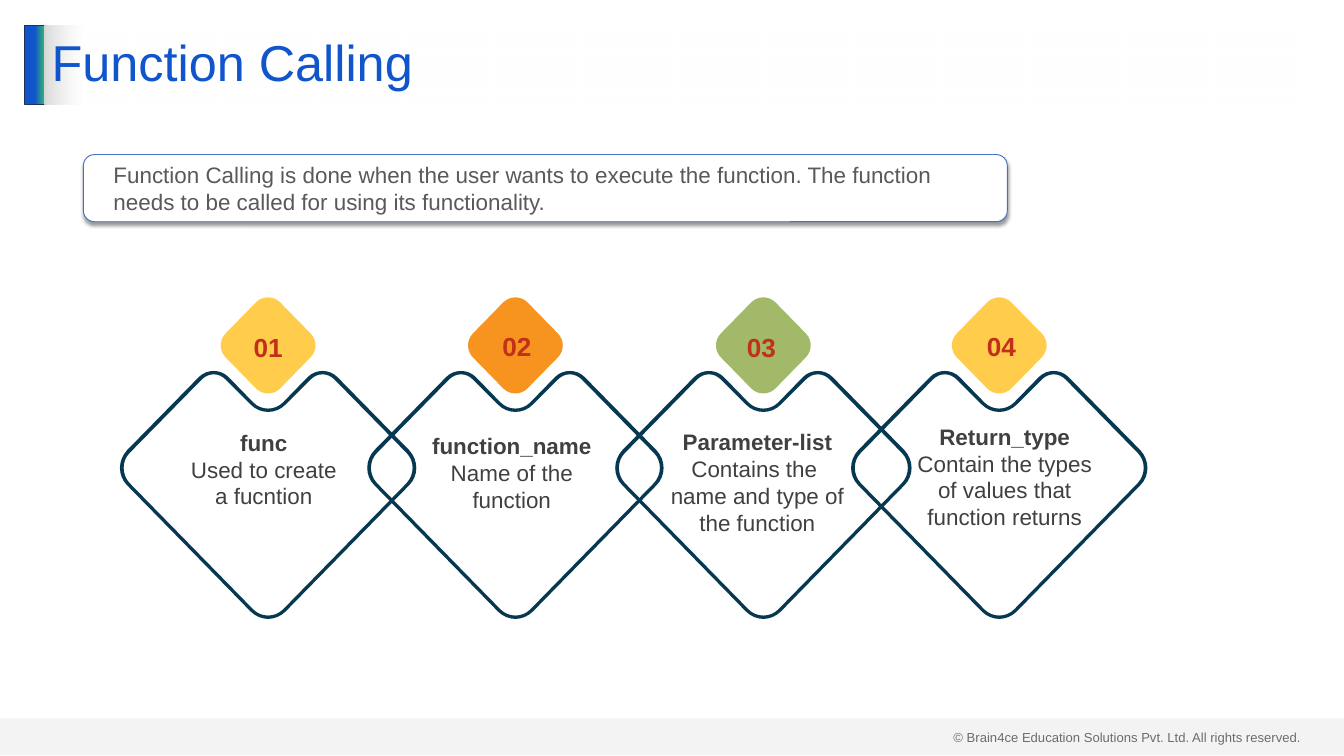
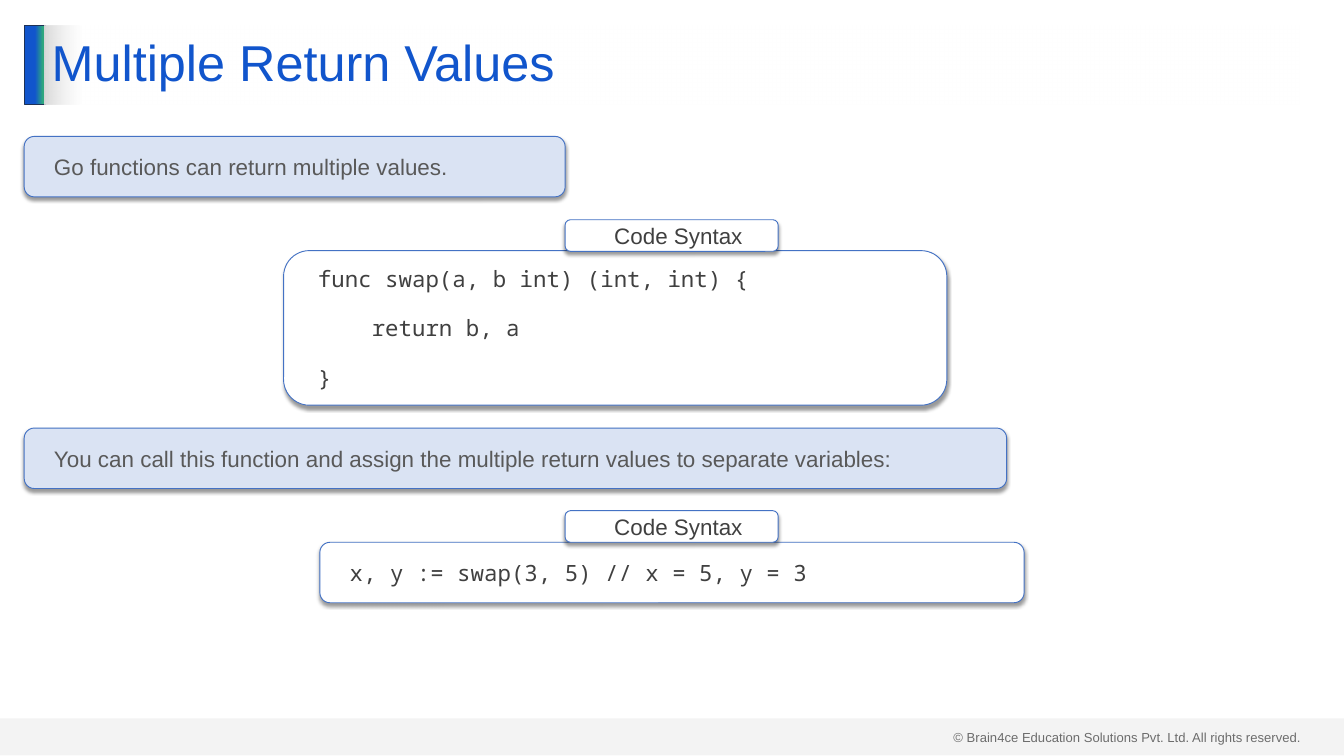
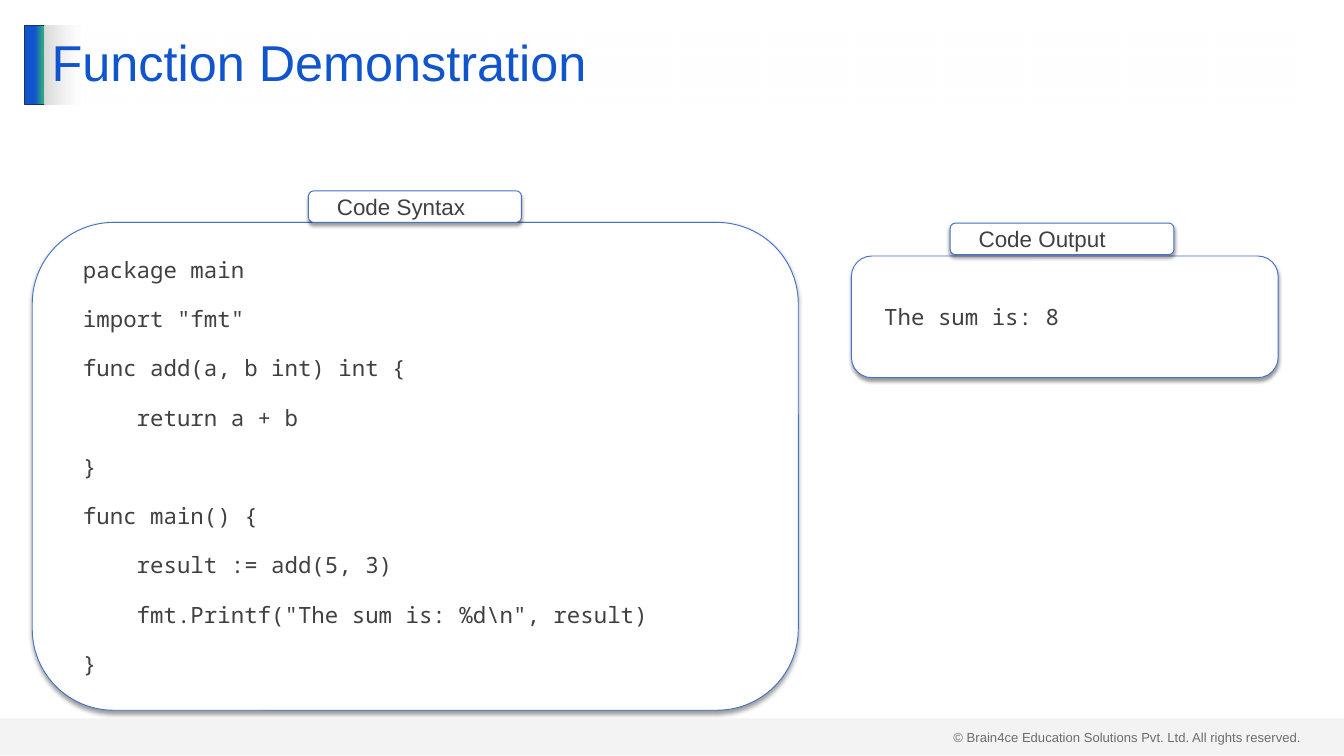
from lxml import etree
from pptx import Presentation
from pptx import util as u
from pptx.dml.color import RGBColor
from pptx.enum import shapes, text
from pptx.oxml.ns import qn

PX = 9144  # EMU per px, 100 px to the inch
SHAPE = shapes.MSO_SHAPE
ANCHOR = text.MSO_ANCHOR
ALIGN = text.PP_ALIGN
SANS, MONO = "Arial", "Noto Sans Mono"
COLORS = {
    "white": "FFFFFF", "black": "000000", "grey": "D9D9D9",
    "text": "404040", "soft_text": "595959",
    "title": "1155CC", "teal": "2EA87D", "accent_line": "1E3256",
    "box_line": "4472C4", "pale_blue": "DAE3F3",
    "navy": "063951", "yellow": "FFCC4C", "orange": "F7931F",
    "green": "A2B969", "number": "C13018",
}

# Half outlines: each entry lists the points of one line (1) or one curve (3)
CARD_OUTER = [[(0, 369)], [(-9, 369), (-19, 365), (-26, 358)], [(-210, 170)],
              [(-224, 156), (-224, 133), (-210, 118)], [(-103, 9)],
              [(-97, 3), (-89, 0), (-81, 0)], [(-73, 0), (-65, 3), (-59, 9)],
              [(-22, 47)], [(-16, 53), (-8, 56), (0, 56)]]
CARD_INNER = [[(0, 364)], [(-8, 364), (-16, 361), (-22, 355)], [(-206, 167)],
              [(-218, 154), (-218, 134), (-206, 122)], [(-99, 13)],
              [(-94, 8), (-88, 5), (-81, 5)], [(-74, 5), (-68, 8), (-63, 13)],
              [(-26, 50)], [(-19, 57), (-10, 61), (0, 61)]]
BADGE = [[(-18, 64)], [(-63, 18)], [(-73, 8), (-73, -8), (-63, -18)],
         [(-18, -64)], [(-8, -74), (8, -74), (18, -64)]]


def rgb(name):
    return RGBColor.from_string(COLORS[name])


def emu(*lengths):
    return [length * PX for length in lengths]


def add_color(parent, name, alpha=100):
    clr = etree.SubElement(parent, qn("a:srgbClr"), val=COLORS[name])
    if alpha < 100:
        etree.SubElement(clr, qn("a:alpha"), val=str(alpha * 1000))


def put_text(sp, lines, size=24, font=SANS, color="text", bold_lines=0, align=None,
             anchor=ANCHOR.TOP, insets=(10, 5), wrap=True, indent=0, gap=0, spacing=None):
    tf = sp.text_frame
    tf.word_wrap, tf.vertical_anchor = wrap, anchor
    tf.margin_left = tf.margin_right = insets[0] * PX
    tf.margin_top = tf.margin_bottom = insets[1] * PX
    for i, line in enumerate(lines):
        p = tf.add_paragraph() if i else tf.paragraphs[0]
        p.alignment = align or ALIGN.LEFT
        if indent:
            p._p.get_or_add_pPr().set("marL", str(indent * PX))
        if spacing:
            p.line_spacing = spacing
        if i and gap:
            p.space_before = u.Pt(gap)
        r = p.add_run()
        r.text = line
        r.font.name, r.font.size, r.font.bold = font, u.Pt(size), i < bold_lines
        r.font.color.rgb = rgb(color)


def add_text(s, box, lines, **fmt):
    put_text(s.shapes.add_textbox(*emu(*box)), lines, **fmt)


def add_box(s, box, kind=SHAPE.RECTANGLE, fill=None, alpha=100, stops=None, line=None):
    sp = s.shapes.add_shape(kind, *emu(*box))
    sp.shadow.inherit = False
    if stops:
        sp.fill.gradient()
        sp.fill.gradient_angle = 0
        gs_list = sp._element.spPr.find(".//" + qn("a:gsLst"))
        gs_list[:] = []
        for pos, name, opacity in stops:
            add_color(etree.SubElement(gs_list, qn("a:gs"), pos=str(pos * 1000)), name, opacity)
    else:
        sp.fill.solid()
        sp.fill.fore_color.rgb = rgb(fill)
        if alpha < 100:
            clr = sp._element.spPr.find(".//" + qn("a:srgbClr"))
            etree.SubElement(clr, qn("a:alpha"), val=str(alpha * 1000))
    if line:
        sp.line.color.rgb, sp.line.width = rgb(line), u.Pt(1)
    else:
        sp.line.fill.background()
    return sp


def add_panel(s, box, lines, fill="white", **fmt):
    """Rounded box with a soft shadow below it."""
    sp = add_box(s, box, SHAPE.ROUNDED_RECTANGLE, fill, line="box_line")
    effects = sp._element.spPr.find(qn("a:effectLst"))
    shadow = etree.SubElement(effects, qn("a:outerShdw"), blurRad=str(u.Pt(4)),
                              dist=str(u.Pt(3)), dir="5400000", rotWithShape="0")
    add_color(shadow, "black", 40)
    put_text(sp, lines, anchor=ANCHOR.MIDDLE, insets=(20, 10), indent=20, gap=24, **fmt)


def add_note(s, box, line, fill="pale_blue"):
    add_panel(s, box, [line], fill, color="soft_text")


def add_code(s, box, lines, tab, label, align=None):
    """Code panel with a label tab; tab is (dx, dy, width) from the panel's corner."""
    add_panel(s, box, lines, font=MONO)
    dx, dy, width = tab
    add_panel(s, (box[0] + dx, box[1] + dy, width, 47), [label], align=align)


def mirrored(half):
    """Close a left half by walking back along its mirror image."""
    back = []
    for before, seg in reversed(list(zip(half, half[1:]))):
        points = seg[-2::-1] + before[-1:]
        back.append([(-x, y) for x, y in points])
    return half + back


def rotated(half):
    """Close a half by repeating it turned through 180 degrees."""
    return half + [[(-x, -y) for x, y in seg] for seg in half[1:]]


def add_outline(s, x, y, fill, *contours):
    fb = s.shapes.build_freeform(*contours[0][0][0], scale=PX)
    for i, (start, *segs) in enumerate(contours):
        if i:
            fb.move_to(*start[0])
        fb.add_line_segments([point for seg in segs for point in seg], close=True)
    sp = fb.convert_to_shape(*emu(x, y))
    # Join each run of three points into one curve
    edges = iter(list(sp._element.iter(qn("a:lnTo"))))
    for seg in (seg for contour in contours for seg in contour[1:]):
        first, *rest = [next(edges) for _ in seg]
        if rest:
            first.tag = qn("a:cubicBezTo")
        for edge in rest:
            first.append(edge[0])
            edge.getparent().remove(edge)
    sp.shadow.inherit = False
    sp.fill.solid()
    sp.fill.fore_color.rgb = rgb(fill)
    sp.line.fill.background()


def add_card(s, cx, top, number, fill, shift, caption, lines):
    """Notched diamond with a numbered badge; shift moves the number off centre."""
    add_outline(s, cx, top, "navy", mirrored(CARD_OUTER), mirrored(CARD_INNER))
    add_outline(s, cx, top - 38, fill, rotated(BADGE))
    dx, dy, width, height = caption
    add_text(s, (cx + dx, top + dy, width, height), lines, bold_lines=1,
             align=ALIGN.CENTER, anchor=ANCHOR.BOTTOM, insets=(0, 5))
    add_text(s, (cx - 32 + shift[0], top - 64 + shift[1], 64, 57), [number], size=28,
             color="number", bold_lines=1, align=ALIGN.CENTER, wrap=False)


def new_slide(prs, title):
    s = prs.slides.add_slide(prs.slide_layouts[6])
    # Footer
    add_text(s, (1409, 1080, 541, 34),
             ["© Brain4ce Education Solutions Pvt. Ltd. All rights reserved."], size=14)
    add_box(s, (0, 1069, 2000, 55), fill="grey", alpha=29)
    # Title with accent bar
    add_box(s, (37, 38, 30, 118), line="accent_line",
            stops=[(51, "title", 100), (90, "teal", 100), (100, "teal", 100)])
    sp = add_box(s, (67, 38, 1867, 118), stops=[(0, "grey", 100), (3, "white", 50)])
    put_text(sp, [title], size=54, color="title", anchor=ANCHOR.MIDDLE, spacing=0.9)
    return s


def calling_slide(prs):
    s = new_slide(prs, "Function Calling")
    add_note(s, (124, 230, 1375, 100),
             "Function Calling is done when the user wants to execute the function. "
             "The function needs to be called for using its functionality.", "white")
    cards = [
        (399, "yellow", (0, 0), (-118, 80, 223, 131), ["func", "Used to create a fucntion"]),
        (767, "orange", (2, -1), (-130, 85, 249, 131),
         ["function_name", "Name of the function"]),
        (1136, "green", (-3, 0), (-149, 78, 280, 172),
         ["Parameter-list", "Contains the ", "name and type of the function"]),
        (1487, "yellow", (3, -1), (-131, 68, 278, 174),
         ["Return_type", "Contain the types of values that function returns"]),
    ]
    for i, (cx, fill, shift, caption, lines) in enumerate(cards, 1):
        add_card(s, cx, 552, f"{i:02}", fill, shift, caption, lines)


def return_values_slide(prs):
    s = new_slide(prs, "Multiple Return Values")
    add_note(s, (36, 203, 805, 90), "Go functions can return multiple values.")
    add_code(s, (422, 373, 987, 230),
             ["func swap(a, b int) (int, int) {", "    return b, a", "}"],
             (419, -46, 317), "Code Syntax", ALIGN.CENTER)
    add_note(s, (36, 637, 1462, 90), "You can call this function and assign the "
             "multiple return values to separate variables:")
    add_code(s, (476, 807, 1048, 90), ["x, y := swap(3, 5) // x = 5, y = 3"],
             (365, -47, 317), "Code Syntax", ALIGN.CENTER)


def demonstration_slide(prs):
    s = new_slide(prs, "Function Demonstration")
    add_code(s, (48, 331, 1140, 726),
             ["package main", 'import "fmt"', "func add(a, b int) int {",
              "    return a + b", "}", "func main() {", "    result := add(5, 3)",
              '    fmt.Printf("The sum is: %d\\n", result)', "}"],
             (411, -47, 317), "Code Syntax")
    add_code(s, (1267, 381, 635, 181), ["The sum is: 8"], (147, -49, 333), "Code Output")


def main():
    prs = Presentation()
    prs.slide_width, prs.slide_height = emu(2000, 1125)
    calling_slide(prs)
    return_values_slide(prs)
    demonstration_slide(prs)
    prs.save("out.pptx")


if __name__ == "__main__":
    main()
